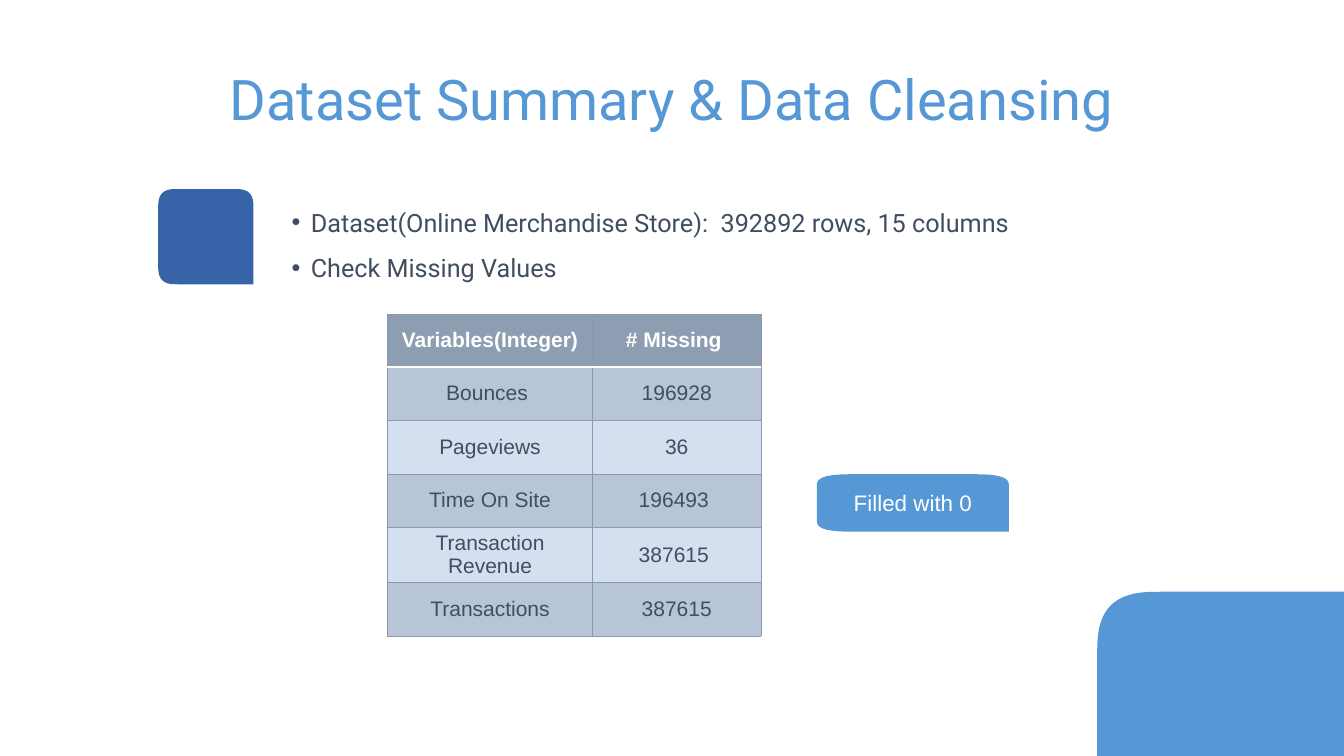
from math import cos, pi, sin

from lxml.etree import SubElement
from pptx import Presentation
from pptx.dml.color import RGBColor
from pptx.enum.text import MSO_ANCHOR, PP_ALIGN
from pptx.oxml.ns import qn
from pptx.util import Inches, Pt

COLORS = {
    "blue": "5697D6", "navy": "3764A9", "ink": "404E5F", "white": "FFFFFF",
    "header": "8D9EB2", "band": "B8C5D7", "light": "D4DFEF", "border": "899AAF",
}
MISSING_COUNTS = [
    ("Variables(Integer)", "# Missing "),
    ("Bounces ", "196928"),
    ("Pageviews", "36"),
    ("Time On Site", "196493 "),
    ("Transaction Revenue", "387615 "),
    ("Transactions", "387615"),
]
FINDINGS = [
    "Dataset(Online Merchandise Store):  392892 rows, 15 columns",
    "Check Missing Values",
]
CORNER = 0.207  # corner radius as a share of each side
CURVE_STEPS = 16


def rgb(name):
    return RGBColor.from_string(COLORS[name])


def add_bullet(paragraph, indent):
    props = paragraph._p.get_or_add_pPr()
    props.set("marL", str(indent))
    props.set("indent", str(-indent))
    SubElement(props, qn("a:buFont"), typeface="Arial")
    SubElement(props, qn("a:buChar"), char="•")


def write(frame, lines, size, color, font="Arial", bold=False,
          align=PP_ALIGN.CENTER, spacing=None, bullet_indent=None):
    for index, line in enumerate(lines):
        paragraph = frame.add_paragraph() if index else frame.paragraphs[0]
        paragraph.alignment = align
        if spacing:
            paragraph.line_spacing = spacing
        if bullet_indent:
            add_bullet(paragraph, bullet_indent)
        run = paragraph.add_run()
        run.text = line
        run.font.name, run.font.size, run.font.bold = font, Pt(size), bold
        run.font.color.rgb = rgb(color)


def set_margins(frame, margin):
    frame.margin_left = frame.margin_right = margin
    frame.margin_top = frame.margin_bottom = margin


def add_borders(cell, **sides):
    """Draw each side (L, R, T, B) given as a (color, points) pair."""
    props = cell._tc.get_or_add_tcPr()
    for side, (color, points) in sides.items():
        line = SubElement(props, qn(f"a:ln{side}"), w=str(Pt(points)))
        fill = SubElement(line, qn("a:solidFill"))
        SubElement(fill, qn("a:srgbClr"), val=COLORS[color])


class Deck:
    """Holds the current slide; lengths are percentages of its size."""

    def __init__(self, width, height):
        self.file = Presentation()
        self.file.slide_width, self.file.slide_height = Inches(width), Inches(height)
        self.slide = self.file.slides.add_slide(self.file.slide_layouts[6])

    def across(self, share):
        return round(self.file.slide_width * share / 100)

    def down(self, share):
        return round(self.file.slide_height * share / 100)

    def area(self, left, top, width, height):
        return self.across(left), self.down(top), self.across(width), self.down(height)

    def text(self, area, lines, **style):
        frame = self.slide.shapes.add_textbox(*self.area(*area)).text_frame
        frame.word_wrap = True
        set_margins(frame, Inches(0.06))
        write(frame, lines, **style)

    def tile(self, area, fill, label=None, **style):
        """Add a tile with three soft corners and a square bottom right one."""
        left, top, width, height = self.area(*area)
        outline = [(left + width, top + height)]
        for quadrant, x_side, y_side in ((1, -1, 1), (2, -1, -1), (3, 1, -1)):
            for step in range(CURVE_STEPS + 1):
                angle = (quadrant + step / CURVE_STEPS) * pi / 2
                x_bend = x_side * abs(cos(angle)) ** (2 / 3)
                y_bend = y_side * abs(sin(angle)) ** (2 / 3)
                x = 0.5 + x_side * (0.5 - CORNER) + CORNER * x_bend
                y = 0.5 + y_side * (0.5 - CORNER) + CORNER * y_bend
                outline.append((round(left + x * width), round(top + y * height)))
        builder = self.slide.shapes.build_freeform(*outline[0])
        builder.add_line_segments(outline[1:], close=True)
        tile = builder.convert_to_shape()
        tile.shadow.inherit = False
        tile.fill.solid()
        tile.fill.fore_color.rgb = rgb(fill)
        tile.line.fill.background()
        if label:
            tile.text_frame.vertical_anchor = MSO_ANCHOR.MIDDLE
            set_margins(tile.text_frame, 0)
            write(tile.text_frame, [label], **style)

    def table(self, left, top, widths, header_height, row_height, rows, size):
        heights = [header_height] + [row_height] * (len(rows) - 1)
        area = self.area(left, top, sum(widths), sum(heights))
        table = self.slide.shapes.add_table(len(rows), len(widths), *area).table
        table.horz_banding = False
        for column, width in zip(table.columns, widths):
            column.width = self.across(width)
        thin, divider = ("border", 0.75), ("white", 2)
        for index, (values, height) in enumerate(zip(rows, heights)):
            table.rows[index].height = self.down(height)
            is_header = index == 0
            fill = "header" if is_header else "band" if index % 2 else "light"
            for cell, value in zip(table.rows[index].cells, values):
                add_borders(cell, L=thin, R=thin,
                            T=divider if index == 1 else thin,
                            B=divider if is_header else thin)
                cell.fill.solid()
                cell.fill.fore_color.rgb = rgb(fill)
                cell.vertical_anchor = MSO_ANCHOR.MIDDLE
                write(cell.text_frame, [value], size=size, bold=is_header,
                      color="white" if is_header else "ink")


def main():
    deck = Deck(26.67, 15)
    deck.text((14.25, 8.2, 71.5, 9.73), ["Dataset Summary & Data Cleansing"],
              size=80, color="blue", font="Roboto")
    deck.text((21.48, 25, 68.73, 12.13), FINDINGS, size=36, color="ink",
              font="Roboto", align=PP_ALIGN.LEFT, spacing=1.5,
              bullet_indent=Inches(0.38))
    deck.tile((11.77, 25, 7.09, 12.6), "navy")
    deck.tile((81.63, 78.27, 23.81, 42.33), "blue")
    deck.table(28.83, 41.6, (15.26, 12.52), 6.93, 7.07, MISSING_COUNTS, size=30)
    deck.tile((60.78, 62.73, 14.29, 7.6), "blue", "Filled with 0",
              size=32, color="white")
    deck.file.save("out.pptx")


if __name__ == "__main__":
    main()
